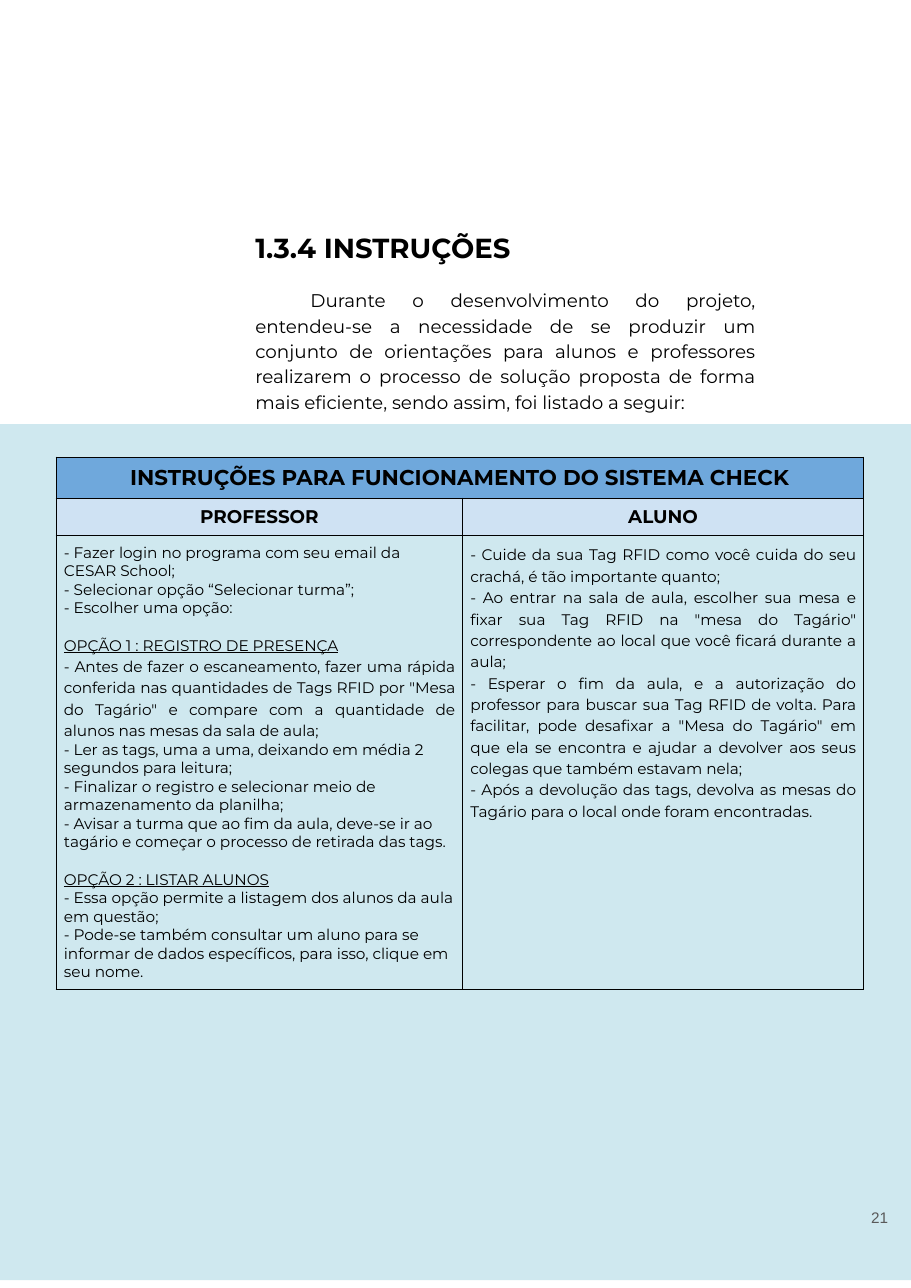
"""Builds the portrait page with the instructions for teachers and students."""
from lxml import etree
from pptx import Presentation
from pptx import util as u
from pptx.dml.color import RGBColor
from pptx.enum import shapes, text
from pptx.oxml.ns import qn

THEME = {
    "band": "CFE8EF", "title_fill": "6FA8DC", "head_fill": "CFE2F3",
    "ink": "000000", "muted": "595959",
    "font": "Montserrat", "number_font": "Arial",
    "heading": 18, "title": 14, "text": 12, "small": 10,
    "leading": 1.15, "border": 1,
}
LEFT, CENTER = text.PP_ALIGN.LEFT, text.PP_ALIGN.CENTER
RIGHT, JUSTIFY = text.PP_ALIGN.RIGHT, text.PP_ALIGN.JUSTIFY


def write(frame, words, size=THEME["small"], font=THEME["font"], color=THEME["ink"],
          bold=False, underline=False, align=LEFT, leading=1.0, before=0, indent=0):
    """Adds one formatted paragraph, using the empty first one when there is one."""
    para = frame.paragraphs[0] if not frame.text else frame.add_paragraph()
    para.alignment, para.line_spacing = align, leading
    if before:
        para.space_before = u.Pt(before)
    if indent:
        para._p.get_or_add_pPr().set("indent", str(u.Inches(indent)))
    span = para.add_run()
    span.text = words
    span.font.name, span.font.size = font, u.Pt(size)
    span.font.bold, span.font.underline = bold, underline
    span.font.color.rgb = RGBColor.from_string(color)


def add_box(left, top, width, height, anchor):
    """Adds a wrapping text box, placed in columns and rows, and returns its frame."""
    box = page.shapes.add_textbox(int(left * col), int(top * row), int(width * col), int(height * row))
    frame = box.text_frame
    frame.word_wrap, frame.vertical_anchor = True, anchor
    frame.margin_left = frame.margin_right = frame.margin_top = frame.margin_bottom = u.Inches(0.1)
    return frame


deck = Presentation()
deck.slide_width, deck.slide_height = u.Inches(8.27), u.Inches(11.69)
col, row = deck.slide_width / 100, deck.slide_height / 100
page = deck.slides.add_slide(deck.slide_layouts[6])

band = page.shapes.add_shape(shapes.MSO_SHAPE.RECTANGLE, 0, int(32.93 * row),
                             deck.slide_width, int(66.47 * row))
band.shadow.inherit = False
band.fill.solid()
band.fill.fore_color.rgb = RGBColor.from_string(THEME["band"])
band.line.fill.background()

number = add_box(92.62, 90.68, 6.05, 7.61, text.MSO_ANCHOR.MIDDLE)
write(number, "21", font=THEME["number_font"], color=THEME["muted"], align=RIGHT)

intro = add_box(26.84, 16.68, 57.32, 16.94, text.MSO_ANCHOR.TOP)
write(intro, "1.3.4 INSTRUÇÕES", size=THEME["heading"], bold=True, align=JUSTIFY,
      leading=THEME["leading"])
write(intro, "Durante o desenvolvimento do projeto, entendeu-se a necessidade de se produzir um "
      "conjunto de orientações para alunos e professores realizarem o processo de solução "
      "proposta de forma mais eficiente, sendo assim, foi listado a seguir:",
      size=THEME["text"], align=JUSTIFY, leading=THEME["leading"], before=14.5, indent=0.5)

widths, heights = (44.62, 44.01), (3.17, 2.91, 35.24)
table = page.shapes.add_table(3, 2, int(6.17 * col), int(35.5 * row),
                              int(sum(widths) * col), int(sum(heights) * row)).table
table.first_row = table.horz_banding = False
for column, share in zip(table.columns, widths):
    column.width = int(share * col)
for line, share in zip(table.rows, heights):
    line.height = int(share * row)
table.cell(0, 0).merge(table.cell(0, 1))

fills = (THEME["title_fill"], THEME["head_fill"], None)
for line, fill in zip(table.rows, fills):
    for cell in line.cells:
        cell.margin_left = cell.margin_right = u.Inches(0.07)
        cell.margin_top = cell.margin_bottom = u.Inches(0.07)
        if fill:
            cell.fill.solid()
            cell.fill.fore_color.rgb = RGBColor.from_string(fill)
        else:
            cell.fill.background()
        for place, side in enumerate(("a:lnL", "a:lnR", "a:lnT", "a:lnB")):
            border = etree.Element(qn(side), w=str(u.Pt(THEME["border"])))
            solid = etree.SubElement(border, qn("a:solidFill"))
            etree.SubElement(solid, qn("a:srgbClr"), val=THEME["ink"])
            cell._tc.get_or_add_tcPr().insert(place, border)

write(table.cell(0, 0).text_frame, "INSTRUÇÕES PARA FUNCIONAMENTO DO SISTEMA CHECK",
      size=THEME["title"], bold=True, align=CENTER)
for place, role in enumerate(("PROFESSOR", "ALUNO")):
    write(table.cell(1, place).text_frame, role, size=THEME["text"], bold=True, align=CENTER)

option = {"underline": True, "before": 12.2}
loose = {"align": JUSTIFY, "leading": THEME["leading"]}
teacher_steps = (
    ("- Fazer login no programa com seu email da CESAR School;", {}),
    ("- Selecionar opção “Selecionar turma”;", {}),
    ("- Escolher uma opção:", {}),
    ("OPÇÃO 1 : REGISTRO DE PRESENÇA", option),
    ("- Antes de fazer o escaneamento, fazer uma rápida conferida nas quantidades de Tags RFID "
     "por \"Mesa do Tagário\" e compare com a quantidade de alunos nas mesas da sala de aula;", loose),
    ("- Ler as tags, uma a uma, deixando em média 2 segundos para leitura;", {}),
    ("- Finalizar o registro e selecionar meio de armazenamento da planilha;", {}),
    ("- Avisar a turma que ao fim da aula, deve-se ir ao tagário e começar o processo de "
     "retirada das tags.", {}),
    ("OPÇÃO 2 : LISTAR ALUNOS", option),
    ("- Essa opção permite a listagem dos alunos da aula em questão;", {}),
    ("- Pode-se também consultar um aluno para se informar de dados específicos, para isso, "
     "clique em seu nome.", {}),
)
student_steps = (
    "- Cuide da sua Tag RFID como você cuida do seu crachá, é tão importante quanto;",
    "- Ao entrar na sala de aula, escolher sua mesa e fixar sua Tag RFID na \"mesa do Tagário\" "
    "correspondente ao local que você ficará durante a aula;",
    "- Esperar o fim da aula, e a autorização do professor para buscar sua Tag RFID de volta. "
    "Para facilitar, pode desafixar a \"Mesa do Tagário\" em que ela se encontra e ajudar a "
    "devolver aos seus colegas que também estavam nela;",
    "- Após a devolução das tags, devolva as mesas do Tagário para o local onde foram encontradas.",
)
for step, style in teacher_steps:
    write(table.cell(2, 0).text_frame, step, **style)
for step in student_steps:
    write(table.cell(2, 1).text_frame, step, **loose)

deck.save("out.pptx")
